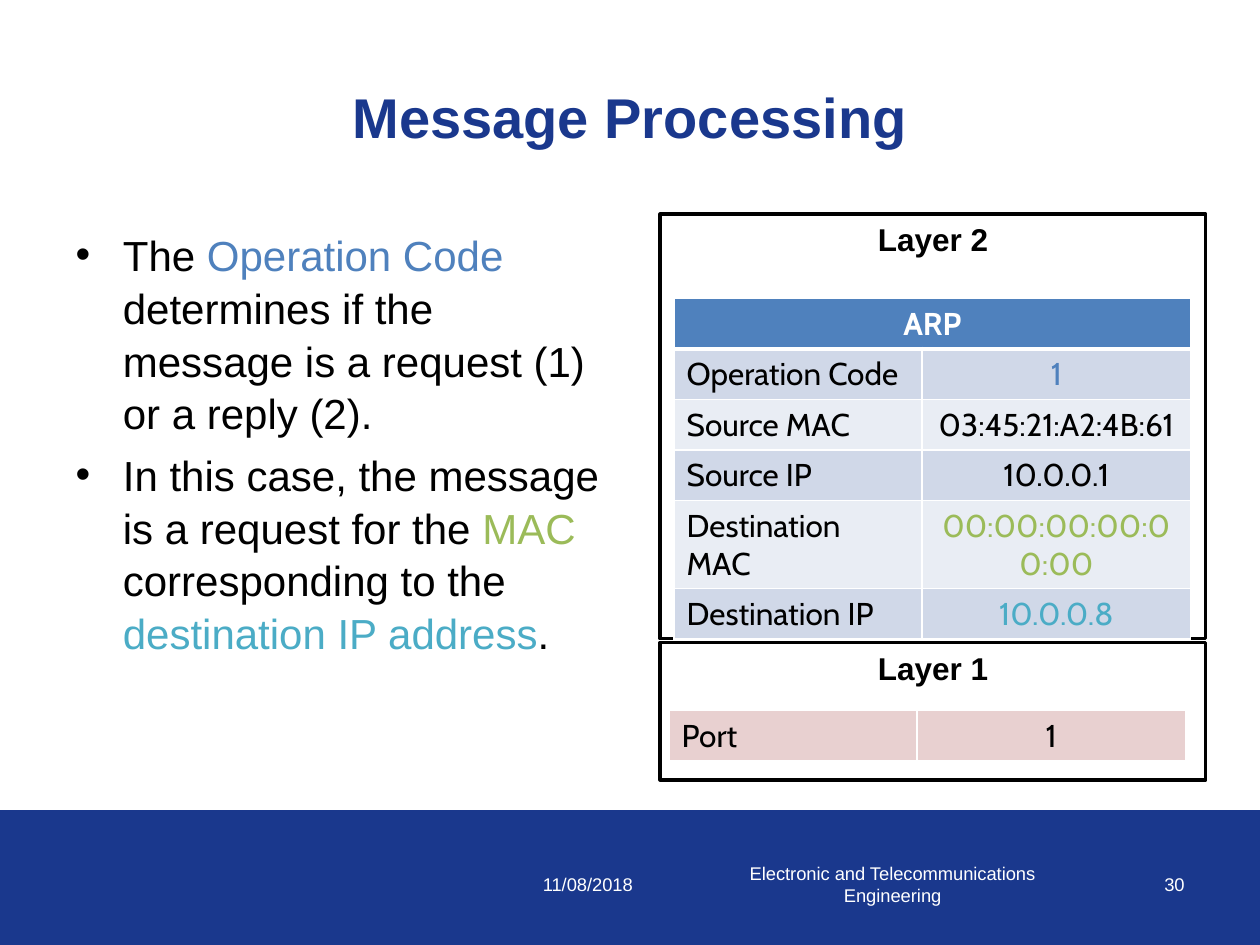
from dataclasses import dataclass

from lxml.etree import SubElement
from pptx import Presentation
from pptx.dml.color import RGBColor
from pptx.enum.shapes import MSO_SHAPE
from pptx.enum.text import MSO_ANCHOR, PP_ALIGN
from pptx.oxml.ns import qn
from pptx.util import Inches, Pt

NAVY = RGBColor(0x1A, 0x38, 0x8D)
BLUE = RGBColor(0x4F, 0x81, 0xBD)
GREEN = RGBColor(0x9B, 0xBB, 0x59)
AQUA = RGBColor(0x4B, 0xAC, 0xC6)
PALE = RGBColor(0xE9, 0xED, 0xF4)
MIST = RGBColor(0xD0, 0xD8, 0xE8)
PINK = RGBColor(0xE8, 0xD0, 0xD0)
BLACK = RGBColor(0, 0, 0)
WHITE = RGBColor(255, 255, 255)

# The slide is a grid of 100 columns by 75 rows
COLS, ROWS = 100, 75
SLIDE_W, SLIDE_H = Inches(10), Inches(7.5)


@dataclass
class Area:
    col: float
    row: float
    cols: float
    rows: float

    def emu(self) -> tuple:
        return (across(self.col), down(self.row), across(self.cols), down(self.rows))


@dataclass
class Field:
    label: str
    value: str
    color: RGBColor = BLACK


@dataclass
class Footer:
    text: str
    area: Area
    align: PP_ALIGN


@dataclass
class Layer:
    name: str
    area: Area


def across(n: float) -> int:
    return round(SLIDE_W * n / COLS)


def down(n: float) -> int:
    return round(SLIDE_H * n / ROWS)


def place(sp, area: Area) -> None:
    sp.left, sp.top, sp.width, sp.height = area.emu()


def style(p, size: float, color: RGBColor, bold=False, align=PP_ALIGN.LEFT, name="Arial") -> None:
    p.alignment = align
    f = p.font
    f.name, f.size, f.bold = name, Pt(size), bold
    f.color.rgb = color


def add_rect(shapes, area: Area, fill: RGBColor):
    sp = shapes.add_shape(MSO_SHAPE.RECTANGLE, *area.emu())
    sp.shadow.inherit = False
    sp.fill.solid()
    sp.fill.fore_color.rgb = fill
    sp.line.fill.background()
    return sp


def add_layer(shapes, layer: Layer) -> None:
    sp = add_rect(shapes, layer.area, WHITE)
    sp.line.color.rgb = BLACK
    sp.line.width = Pt(2)
    tf = sp.text_frame
    tf.vertical_anchor = MSO_ANCHOR.TOP
    tf.text = layer.name
    style(tf.paragraphs[0], 18, BLACK, True, PP_ALIGN.CENTER)


def add_footer(s, footer: Footer) -> None:
    tf = s.shapes.add_textbox(*footer.area.emu()).text_frame
    tf.word_wrap = True
    tf.vertical_anchor = MSO_ANCHOR.MIDDLE
    tf.text = footer.text
    style(tf.paragraphs[0], 10.5, WHITE, align=footer.align)


def set_borders(cell, bottom: float = 1) -> None:
    tc_pr = cell._tc.get_or_add_tcPr()
    widths = {"a:lnL": 1, "a:lnR": 1, "a:lnT": 1, "a:lnB": bottom}
    for i, (tag, width) in enumerate(widths.items()):
        ln = SubElement(tc_pr, qn(tag), w=str(Pt(width)))
        SubElement(SubElement(ln, qn("a:solidFill")), qn("a:srgbClr"), val=str(WHITE))
        tc_pr.insert(i, ln)


def fill_cell(cell, text: str, fill: RGBColor, color=BLACK, align=PP_ALIGN.LEFT, header=False) -> None:
    cell.fill.solid()
    cell.fill.fore_color.rgb = fill
    cell.vertical_anchor = MSO_ANCHOR.MIDDLE
    cell.text = text
    style(cell.text_frame.paragraphs[0], 18, color, header, align, "Cabin")
    set_borders(cell, 3 if header else 1)


def add_fields(s, area: Area, fields: list[Field], fills: list[RGBColor], header: str = "") -> None:
    first = 1 if header else 0
    table = s.shapes.add_table(len(fields) + first, 2, *area.emu()).table
    table.first_row, table.horz_banding = bool(header), False
    for column, share in zip(table.columns, (0.48, 0.52)):
        column.width = round(across(area.cols) * share)
    if header:
        table.cell(0, 0).merge(table.cell(0, 1))
        fill_cell(table.cell(0, 0), header, BLUE, WHITE, PP_ALIGN.CENTER, True)
        set_borders(table.cell(0, 1), 3)
    for i, field in enumerate(fields):
        fill = fills[i % len(fills)]
        fill_cell(table.cell(i + first, 0), field.label, fill)
        fill_cell(table.cell(i + first, 1), field.value, fill, field.color, PP_ALIGN.CENTER)


BULLETS = [
    [("The ", BLACK), ("Operation Code ", BLUE),
     ("determines if the message is a request (1) or a reply (2).", BLACK)],
    [("In this case, the message is a request for the ", BLACK), ("MAC", GREEN),
     (" corresponding to the ", BLACK), ("destination IP address", AQUA), (".", BLACK)],
]
FOOTERS = [
    Footer("11/08/2018", Area(42.1, 68.2, 13.4, 4), PP_ALIGN.LEFT),
    Footer("Electronic and Telecommunications Engineering", Area(56.3, 68.2, 29.1, 4), PP_ALIGN.CENTER),
    Footer("30", Area(86.2, 68.2, 8.8, 4), PP_ALIGN.RIGHT),
]
LAYERS = [
    Layer("Layer 2", Area(52.4, 17, 43.3, 33.7)),
    Layer("Layer 1", Area(52.4, 51, 43.3, 10.9)),
]
ARP = [
    Field("Operation Code", "1", BLUE),
    Field("Source MAC", "03:45:21:A2:4B:61"),
    Field("Source IP", "10.0.0.1"),
    Field("Destination MAC", "00:00:00:00:00:00", GREEN),
    Field("Destination IP", "10.0.0.8", AQUA),
]


def main() -> None:
    prs = Presentation()
    prs.slide_width, prs.slide_height = SLIDE_W, SLIDE_H
    s = prs.slides.add_slide(prs.slide_layouts[1])

    # Title
    title = s.shapes.title
    place(title, Area(5, 3, 90, 12.5))
    title.text_frame.text = "Message Processing"
    style(title.text_frame.paragraphs[0], 32, NAVY, True, PP_ALIGN.CENTER)

    # Bulleted list
    body = s.placeholders[1]
    place(body, Area(5, 17.5, 44.2, 45.2))
    tf = body.text_frame
    for i, parts in enumerate(BULLETS):
        p = tf.add_paragraph() if i else tf.paragraphs[0]
        style(p, 24, BLACK)
        p.line_spacing = 1.05
        p.space_before = Pt(4.8 if i else 0)
        for text, color in parts:
            r = p.add_run()
            r.text = text
            r.font.color.rgb = color

    # Footer band
    add_rect(s.shapes, Area(0, 64.3, COLS, 10.7), NAVY)
    for footer in FOOTERS:
        add_footer(s, footer)

    # Layers and their fields
    group = s.shapes.add_group_shape()
    for layer in LAYERS:
        add_layer(group.shapes, layer)
    add_fields(s, Area(53.5, 23.7, 41, 24), ARP, [MIST, PALE], "ARP")
    add_fields(s, Area(53.1, 56.4, 41, 4), [Field("Port", "1")], [PINK])

    prs.save("out.pptx")


if __name__ == "__main__":
    main()
